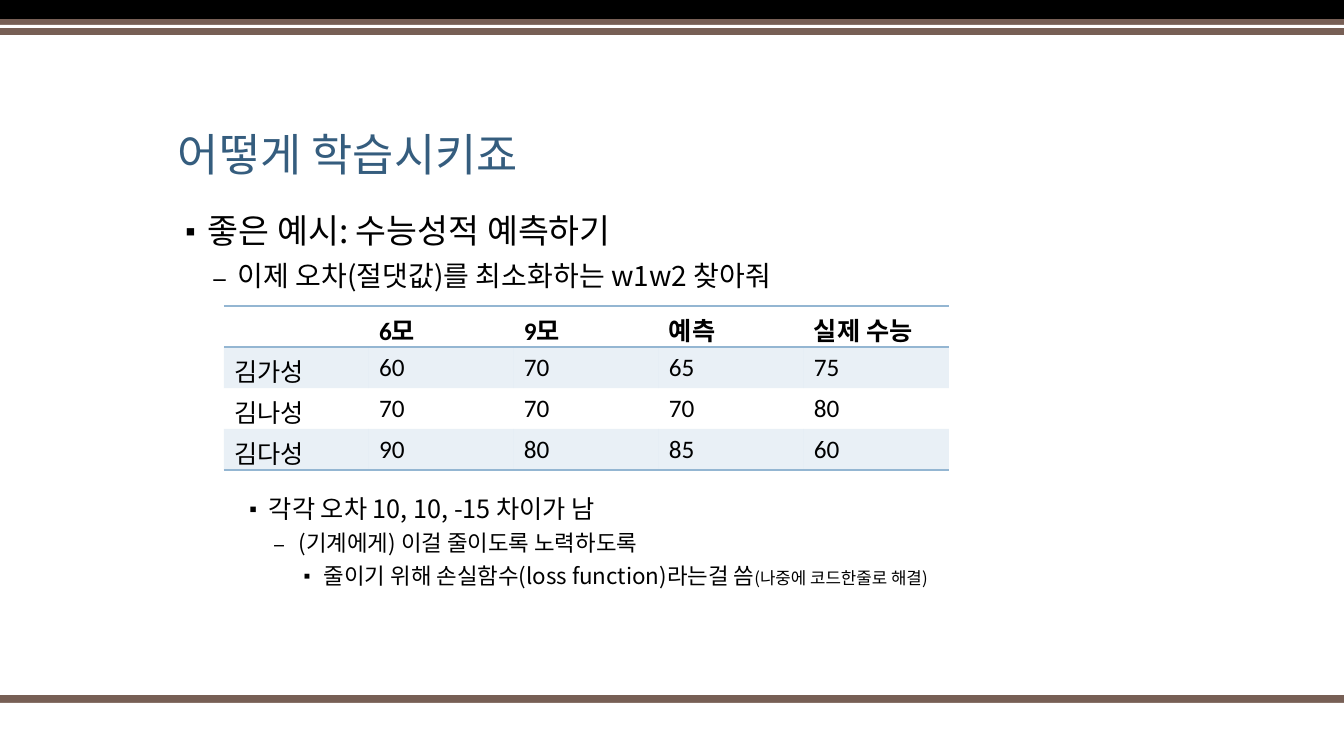
"""Builds the slide on how a model learns, with its table of exam scores."""
import pptx
import pptx.util
import pptx.dml.color
import pptx.enum.shapes
import pptx.enum.text
import pptx.oxml
import pptx.oxml.ns

COLORS = {"brown": "775F55", "white": "FFFFFF", "black": "000000",
          "title": "355D7E", "blue": "94B6D2"}
KOREAN, LATIN = "Noto Sans CJK KR", "Calibri"
PX = 914400 / 100.8
WIDE, HIGH = 1344, 756

BARS = [(695, 11, "brown"), (703, 3, "white"), (0, 19, "black"),
        (19, 16, "brown"), (25, 3, "white")]
TITLE = "어떻게 학습시키죠"
GOAL = [(0, [("좋은 예시: 수능성적 예측하기", 24)]),
        (1, [("이제 오차(절댓값)를 최소화하는 w1w2 찾아줘", 20)])]
LOSS = [(2, [("각각 오차 10, 10, -15 차이가 남", 18)]),
        (3, [("(기계에게) 이걸 줄이도록 노력하도록", 16)]),
        (4, [("줄이기 위해 손실함수(loss function)라는걸 씀", 16),
             ("(나중에 코드한줄로 해결)", 12)])]
LEVELS = [(30, 30, 18), (60, 25, 8), (91, 25, 6), (121, 25, 6), (146, 25, 6)]
SCORES = [("", "6모", "9모", "예측", "실제 수능"),
          ("김가성", "60", "70", "65", "75"),
          ("김나성", "70", "70", "70", "80"),
          ("김다성", "90", "80", "85", "60")]
COL, ROW = 145, 41


def px(num):
    return pptx.util.Emu(round(num * PX))


def rgb(name):
    return pptx.dml.color.RGBColor.from_string(COLORS[name])


def add_xml(parent, text):
    head, tail = text.split(">", 1) if not text.endswith("/>") else (text[:-2], "")
    end = "/>" if not tail else ">"
    node = pptx.oxml.parse_xml(head + " " + pptx.oxml.ns.nsdecls("a") + end + tail)
    parent.append(node)


def add_run(para, text, size, font, color, bold=False):
    run = para.add_run()
    run.text = text
    run.font.size = pptx.util.Pt(size)
    run.font.name = font
    run.font.bold = bold
    run.font.color.rgb = rgb(color)
    add_xml(run.font._element, f'<a:ea typeface="{KOREAN}"/>')


def add_box(slide, left, top, wide, high):
    frame = slide.shapes.add_textbox(px(left), px(top), px(wide), px(high)).text_frame
    frame.word_wrap = True
    return frame


def add_list(slide, top, high, items):
    frame = add_box(slide, 168, top, 1100, high)
    for pos, (level, runs) in enumerate(items):
        para = frame.add_paragraph() if pos else frame.paragraphs[0]
        left, hang, gap = LEVELS[level]
        props = para._p.get_or_add_pPr()
        props.set("marL", str(px(left)))
        props.set("indent", str(-px(hang)))
        para.level = level
        para.line_spacing = 0.9
        para.space_before = pptx.util.Pt(gap if pos else 0)
        add_xml(props, f'<a:buClr><a:srgbClr val="{COLORS["black"]}"/></a:buClr>')
        if level % 2 == 0:
            add_xml(props, '<a:buSzPct val="80000"/>')
        add_xml(props, f'<a:buFont typeface="{KOREAN}"/>')
        add_xml(props, f'<a:buChar char="{"–" if level % 2 else "▪"}"/>')
        for text, size in runs:
            add_run(para, text, size, KOREAN, "black")


def add_scores(slide):
    wide, high = COL * len(SCORES[0]), ROW * len(SCORES)
    table = slide.shapes.add_table(len(SCORES), len(SCORES[0]), px(224), px(306),
                                   px(wide), px(high)).table
    last = len(SCORES) - 1
    for r, row in enumerate(SCORES):
        for c, text in enumerate(row):
            cell = table.cell(r, c)
            para = cell.text_frame.paragraphs[0]
            if text:
                add_run(para, text, 18, LATIN, "black", r == 0)
            else:
                para.font.size = pptx.util.Pt(18)
            props = cell._tc.get_or_add_tcPr()
            lined = {"L": False, "R": False, "T": r in (0, 1), "B": r in (0, last)}
            for side, shown in lined.items():
                paint = (f'<a:solidFill><a:srgbClr val="{COLORS["blue"]}"/></a:solidFill>'
                         if shown else "<a:noFill/>")
                add_xml(props, f'<a:ln{side} w="12700">{paint}</a:ln{side}>')
            if r % 2:
                cell.fill.solid()
                cell.fill.fore_color.rgb = rgb("blue")
                tint = props.find(".//" + pptx.oxml.ns.qn("a:solidFill") + "[last()]")
                tint = props.findall(pptx.oxml.ns.qn("a:solidFill"))[0]
                add_xml(tint[0], '<a:alpha val="20000"/>')
            else:
                cell.fill.background()


def main():
    deck = pptx.Presentation()
    deck.slide_width, deck.slide_height = px(WIDE), px(HIGH)
    slide = deck.slides.add_slide(deck.slide_layouts[6])
    for top, high, color in BARS:
        bar = slide.shapes.add_shape(pptx.enum.shapes.MSO_SHAPE.RECTANGLE,
                                     0, px(top), px(WIDE), px(high))
        bar.shadow.inherit = False
        bar.fill.solid()
        bar.fill.fore_color.rgb = rgb(color)
        bar.line.fill.background()
    frame = add_box(slide, 168, 68, 1008, 118)
    frame.vertical_anchor = pptx.enum.text.MSO_ANCHOR.BOTTOM
    frame.paragraphs[0].line_spacing = 0.9
    add_run(frame.paragraphs[0], TITLE, 32, KOREAN, "title")
    add_list(slide, 210, 92, GOAL)
    add_list(slide, 492, 120, LOSS)
    add_scores(slide)
    deck.save("out.pptx")


if __name__ == "__main__":
    main()
